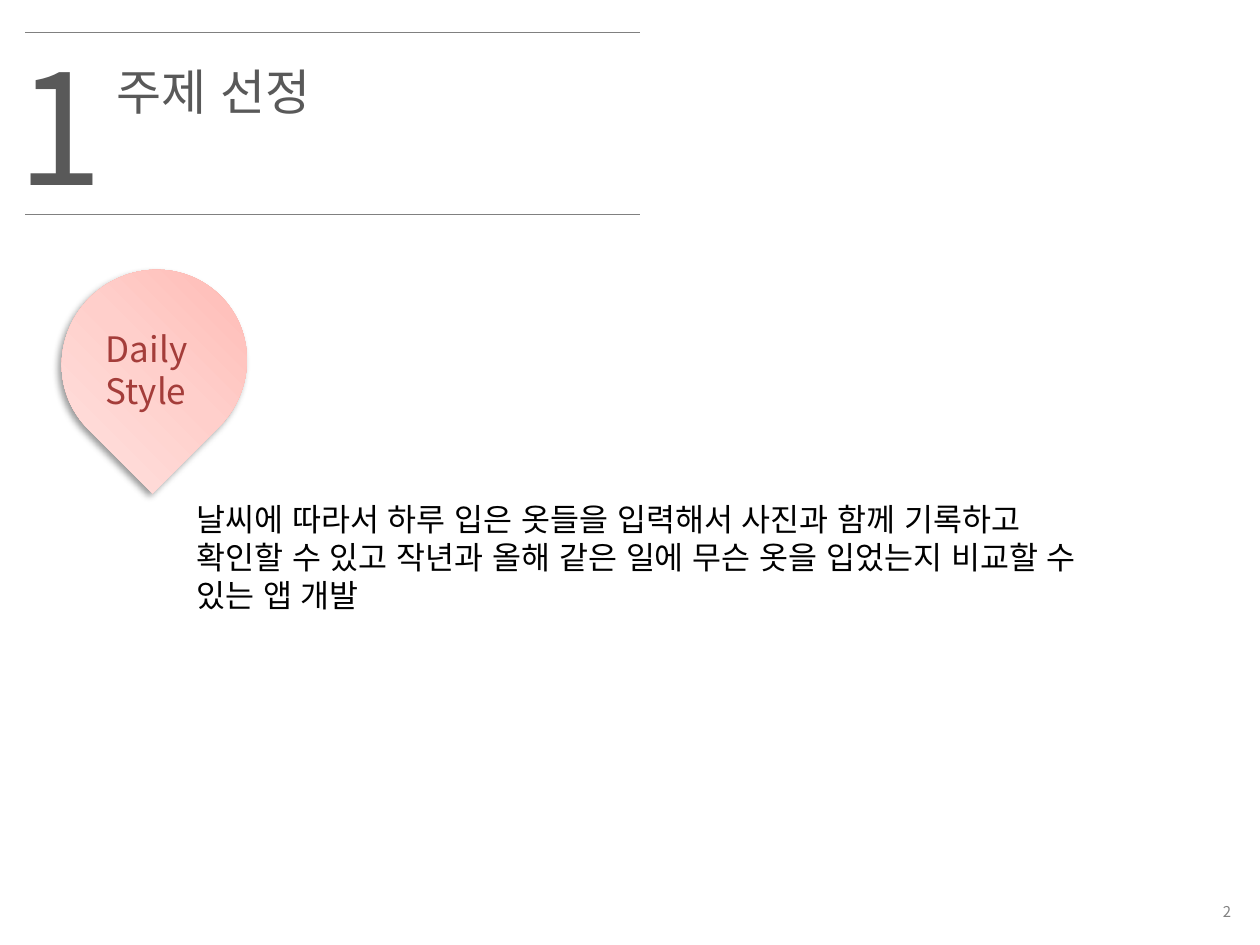
import copy
from dataclasses import dataclass

from lxml import etree
from pptx import Presentation
from pptx import util as u
from pptx.dml.color import RGBColor
from pptx.enum import lang, shapes, text
from pptx.oxml import ns


@dataclass(frozen=True)
class Theme:
    font: str = "Noto Sans CJK KR"
    heading: str = "595959"
    muted: str = "808080"
    body: str = "000000"
    label: str = "A43D3A"
    pin: tuple = ("FFB2AA", "FFCFCB", "FFE7E6")
    number_size: float = 88
    title_size: float = 28
    label_size: float = 20
    body_size: float = 18
    page_size: float = 8.5
    rule_width: float = 0.75


THEME = Theme()


def inches(*values):
    return [u.Inches(v) for v in values]


def add_text(parent, at, content, size, color, wrap=True, grow=True, hang=0):
    s = parent.shapes.add_textbox(*inches(*at))
    tf = s.text_frame
    tf.text = content
    tf.word_wrap = wrap
    if grow:
        tf.auto_size = text.MSO_AUTO_SIZE.SHAPE_TO_FIT_TEXT
    for p in tf.paragraphs:
        if hang:
            pPr = p._p.get_or_add_pPr()
            pPr.set("marL", str(u.Inches(hang)))
            pPr.set("indent", str(-u.Inches(hang)))
        for r in p.runs:
            r.font.size = u.Pt(size)
            r.font.name = THEME.font
            r.font.color.rgb = RGBColor.from_string(color)
            # Korean language and typeface set the width of the word spaces
            r.font.language_id = lang.MSO_LANGUAGE_ID.KOREAN
            ea = etree.SubElement(r.font._element, ns.qn("a:ea"))
            ea.set("typeface", THEME.font)
    return s


def add_rule(s, left, right, y):
    line = s.shapes.add_connector(
        shapes.MSO_CONNECTOR.STRAIGHT, *inches(left, y, right, y))
    line.line.color.rgb = RGBColor.from_string(THEME.muted)
    line.line.width = u.Pt(THEME.rule_width)
    etree.SubElement(line._element.spPr, ns.qn("a:effectLst"))


def add_pin(parent, at):
    sp = parent.shapes.add_shape(shapes.MSO_SHAPE.TEAR, *inches(*at))
    sp.rotation = 135
    sp.line.fill.background()

    # Gradient with evenly spaced stops
    sp.fill.gradient()
    sp.fill.gradient_angle = 0
    stops = sp._element.spPr.find(".//" + ns.qn("a:gsLst"))
    stops.append(copy.deepcopy(stops[0]))
    for i, (stop, color) in enumerate(zip(sp.fill.gradient_stops, THEME.pin)):
        stop.position = i / (len(THEME.pin) - 1)
        stop.color.rgb = RGBColor.from_string(color)

    # Soft shadow to the lower left
    sp.shadow.inherit = False
    effects = sp._element.spPr.find(ns.qn("a:effectLst"))
    shadow = etree.SubElement(
        effects, ns.qn("a:outerShdw"), blurRad=str(u.Pt(4)), dist=str(u.Pt(3)),
        dir=str(135 * 60000), algn="ctr", rotWithShape="0")
    color = etree.SubElement(shadow, ns.qn("a:srgbClr"), val="000000")
    etree.SubElement(color, ns.qn("a:alpha"), val="40000")


def main():
    prs = Presentation()
    prs.slide_width, prs.slide_height = inches(10, 7.5)
    s = prs.slides.add_slide(prs.slide_layouts[6])

    # Page number
    page = add_text(s, (7.76, 7.1, 2.11, 0.27), "2", THEME.page_size,
                    THEME.muted, grow=False)
    page.text_frame.vertical_anchor = text.MSO_ANCHOR.MIDDLE
    page.text_frame.paragraphs[0].alignment = text.PP_ALIGN.RIGHT

    # Heading between two rules
    add_text(s, (0.83, 0.44, 4.49, 0.57), "주제 선정", THEME.title_size,
             THEME.heading, hang=0.38)
    add_text(s, (0.04, 0.2, 0.87, 1.58), "1", THEME.number_size,
             THEME.heading, hang=0.38)
    for y in (0.26, 1.7):
        add_rule(s, 0.2, 5.08, y)

    # Labelled pin
    group = s.shapes.add_group_shape()
    add_pin(group, (0.48, 2.15, 1.49, 1.45))
    add_text(group, (0.74, 2.55, 0.93, 0.77), "Daily\nStyle",
             THEME.label_size, THEME.label, wrap=False)

    # Description
    add_text(s, (1.46, 3.92, 7.48, 1.01),
             "날씨에 따라서 하루 입은 옷들을 입력해서 사진과 함께 기록하고 "
             "확인할 수 있고 작년과 올해 같은 일에 무슨 옷을 입었는지 "
             "비교할 수 있는 앱 개발", THEME.body_size, THEME.body)

    prs.save("out.pptx")


if __name__ == "__main__":
    main()
